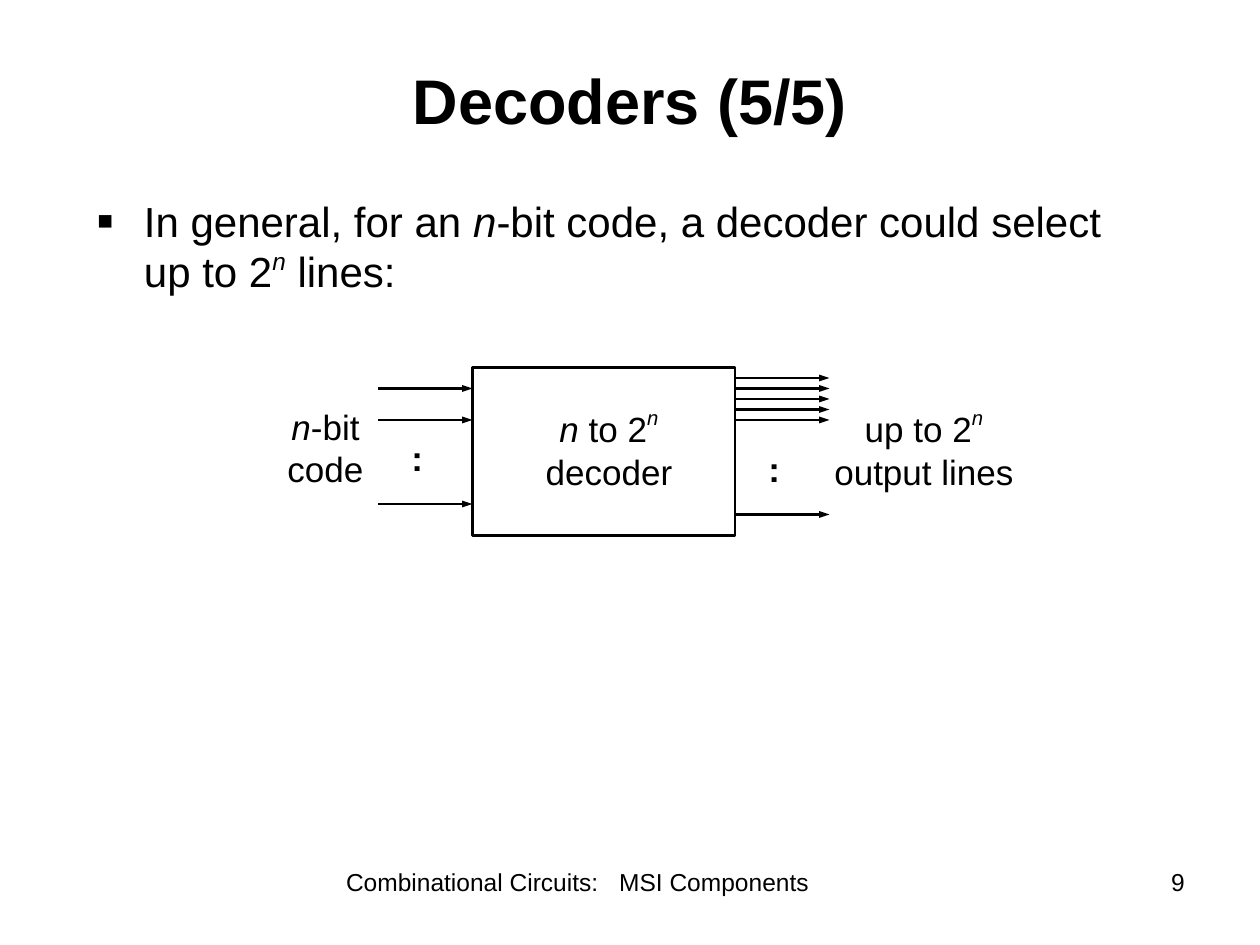
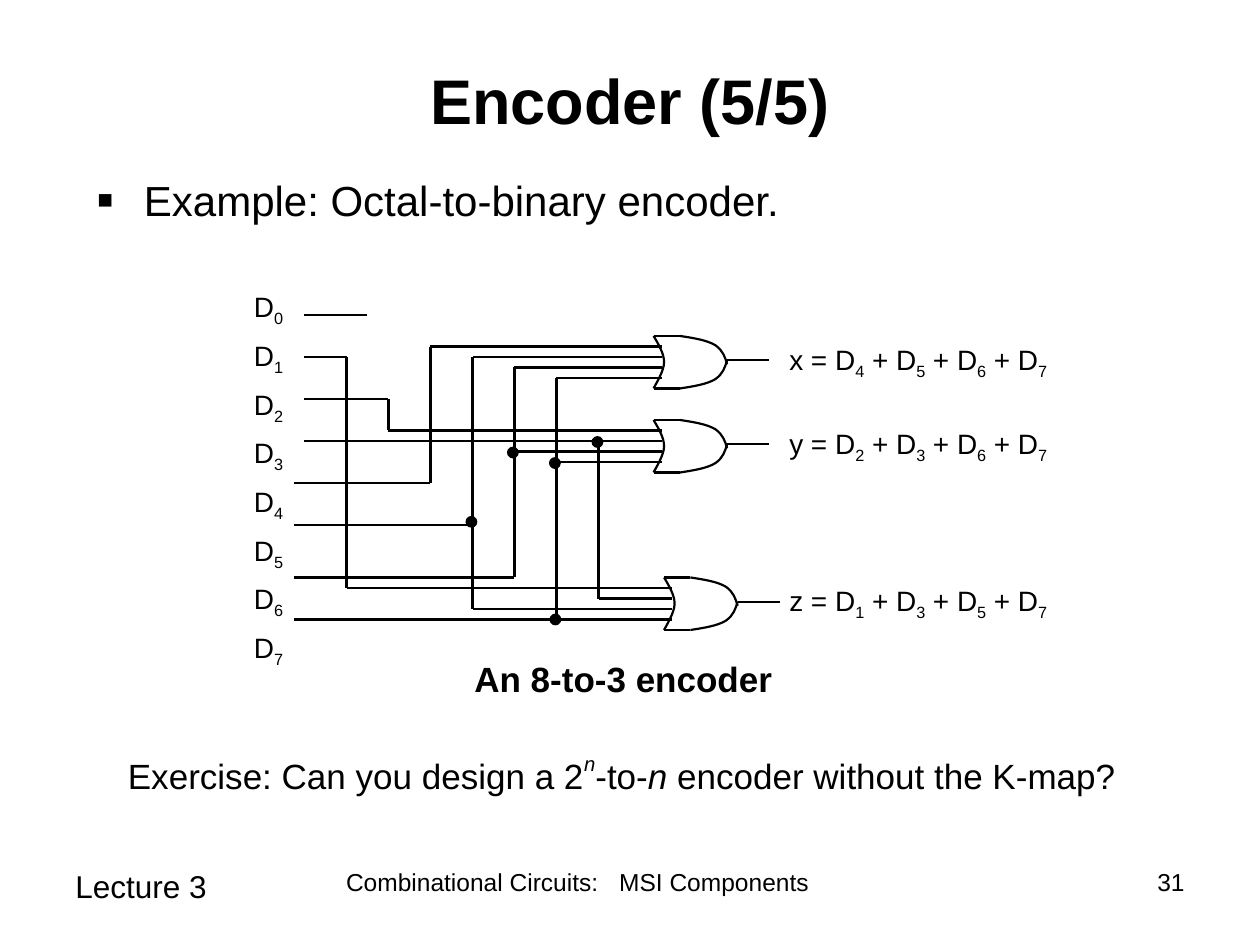
from itertools import pairwise

from lxml.etree import SubElement
from pptx import Presentation
from pptx.dml.color import RGBColor
from pptx.enum.shapes import MSO_CONNECTOR, MSO_SHAPE
from pptx.enum.text import MSO_ANCHOR, PP_ALIGN
from pptx.oxml.ns import qn
from pptx.util import Cm, Pt

BLACK = RGBColor(0x00, 0x00, 0x00)
FONT = "Arial"
CELL = 2.54 / 12  # drawing grid in cm; all positions below count cells
LEFT, CENTER, RIGHT = PP_ALIGN.LEFT, PP_ALIGN.CENTER, PP_ALIGN.RIGHT


def add_text(slide, box, lines, size, align=LEFT, bold=False, gap=0, lift=50):
    """Add a text box; |/n| is italic, |^n| raised italic, |_n| subscript, |~ | widely spaced."""
    tf = slide.shapes.add_textbox(*[Cm(v * CELL) for v in box]).text_frame
    tf.word_wrap = True
    for i, line in enumerate(lines):
        p = tf.add_paragraph() if i else tf.paragraphs[0]
        p.alignment = align
        if i and gap:
            p.space_before = Pt(gap)
        for piece in line.split("|"):
            mark = piece[0] if piece[0] in "/^_~" else ""
            r = p.add_run()
            r.text = piece[len(mark):]
            r.font.name, r.font.size, r.font.bold = FONT, Pt(size), bold
            r.font.italic = mark in ("/", "^")
            r.font.color.rgb = BLACK
            rPr = r._r.get_or_add_rPr()
            if mark in ("^", "_"):
                rPr.set("baseline", str((lift if mark == "^" else -25) * 1000))
            elif mark == "~":
                rPr.set("spc", "780")
    return tf


def add_line(slide, start, end, arrow=False):
    ends = [Cm(v * CELL) for v in (*start, *end)]
    sp = slide.shapes.add_connector(MSO_CONNECTOR.STRAIGHT, *ends)
    sp.line.color.rgb = BLACK
    sp.line.width = Pt(1.25)
    if arrow:
        SubElement(sp.get_or_add_ln(), qn("a:tailEnd"), type="triangle", w="sm", len="med")
    SubElement(sp._element.spPr, qn("a:effectLst"))


prs = Presentation()
prs.slide_width, prs.slide_height = Cm(25.4), Cm(19.05)

# Title, bullet and footer of both slides
pages = [
    ("Decoders (5/5)", "9", 18, 11,
     "In general, for an |/n|-bit code, a decoder could select up to 2|^n| lines:"),
    ("Encoder (5/5)", "31", 16, 8, "Example: Octal-to-binary encoder."),
]
for title, number, bullet_top, bullet_height, bullet in pages:
    slide = prs.slides.add_slide(prs.slide_layouts[6])
    add_text(slide, (31, 82, 48, 6.2), ["Combinational Circuits:|~ |MSI Components"], 14, CENTER)
    add_text(slide, (86, 82, 28, 6.2), [number], 14, RIGHT)
    tf = add_text(slide, (9, 2, 102, 15), [title], 36, CENTER, bold=True)
    tf.vertical_anchor = MSO_ANCHOR.MIDDLE
    tf = add_text(slide, (8, bullet_top, 102, bullet_height), [bullet], 24, lift=40)
    pPr = tf.paragraphs[0]._p.get_or_add_pPr()
    pPr.set("marL", str(Cm(0.96)))
    pPr.set("indent", str(-Cm(0.96)))
    SubElement(SubElement(pPr, qn("a:buClr")), qn("a:srgbClr"), val=str(BLACK))
    SubElement(pPr, qn("a:buSzPct"), val="120000")
    SubElement(pPr, qn("a:buFont"), typeface=FONT)
    SubElement(pPr, qn("a:buChar"), char="▪")
decoder, encoder = prs.slides

# Decoder block with its input and output lines
sp = decoder.shapes.add_shape(MSO_SHAPE.RECTANGLE, *[Cm(v * CELL) for v in (45, 35, 25, 16)])
sp.shadow.inherit = False
sp.fill.background()
sp.line.color.rgb = BLACK
sp.line.width = Pt(1.5)
for x, rows in [(36, (37, 40, 48)), (70, (36, 37, 38, 39, 40, 49))]:
    for y in rows:
        add_line(decoder, (x, y), (x + 9, y), arrow=True)
for x, y in [(38, 41), (72, 42)]:
    add_text(decoder, (x, y, 4, 5.3), [":"], 20, bold=True)
for x, width, label in [
    (24, 14, ["/n|-bit", "code"]),
    (48, 20, ["/n| to 2|^n", "decoder"]),
    (78, 20, ["up to 2|^n", "output lines"]),
]:
    add_text(decoder, (x, 38, width, 9.3), label, 20, CENTER)

# Encoder texts
add_text(encoder, (6, 82, 28, 6.2), ["Lecture 3"], 18)
add_text(encoder, (11, 71, 98, 5.5),
         ["Exercise: Can you design a 2|^n|-to-|/n| encoder without the K-map?"], 20)
add_text(encoder, (44, 62, 31, 5.3), ["An 8-to-3 encoder"], 20, bold=True)
add_text(encoder, (23, 27, 5.8, 37.3), [f"D|_{i}" for i in range(8)], 16, gap=6)

# Wires from the inputs D0 to D7 to the gates
wires = [
    [(29, 30), (35, 30)],
    [(29, 34), (33, 34), (33, 56), (64, 56)],
    [(29, 38), (37, 38), (37, 41), (63, 41)],
    [(29, 42), (63, 42)],
    [(57, 42), (57, 57), (64, 57)],
    [(28, 46), (41, 46), (41, 33), (63, 33)],
    [(28, 50), (45, 50)],
    [(63, 34), (45, 34), (45, 58), (64, 58)],
    [(28, 55), (49, 55), (49, 35), (63, 35)],
    [(49, 43), (63, 43)],
    [(28, 59), (64, 59)],
    [(53, 59), (53, 36), (63, 36)],
    [(53, 44), (63, 44)],
]
for wire in wires:
    for start, end in pairwise(wire):
        add_line(encoder, start, end)

# Junction dots
for x, y in [(44.9, 49.7), (48.85, 43.1), (52.85, 44.1), (52.9, 59), (56.9, 42.1)]:
    sp = encoder.shapes.add_shape(
        MSO_SHAPE.OVAL, *[Cm(v * CELL) for v in (x - 0.5, y - 0.5, 1, 1)])
    sp.shadow.inherit = False
    sp.fill.solid()
    sp.fill.fore_color.rgb = BLACK
    sp.line.color.rgb = BLACK
    sp.line.width = Pt(0.75)

# OR gates: a back, an upper and a lower curve, each a start and Bezier points
back = [(0, 0), (0.5, 0.85), (1, 1.7), (1, 2.5), (1, 3.35), (0.2, 4.6), (0, 5)]
upper = [(2.5, 0), (3.8, 0.2), (5.1, 0.4), (5.9, 0.9), (6.6, 1.4), (6.8, 2), (7, 2.7)]
lower = [(x, 5 - y) for x, y in upper]
gates = [
    (62.25, 32, "x = D|_4| + D|_5| + D|_6| + D|_7"),
    (62.25, 40, "y = D|_2| + D|_3| + D|_6| + D|_7"),
    (63.25, 55, "z = D|_1| + D|_3| + D|_5| + D|_7"),
]
for x, y, label in gates:
    for curve in (back, upper, lower):
        points = [(Cm((x + dx) * CELL), Cm((y + dy) * CELL)) for dx, dy in curve]
        builder = encoder.shapes.build_freeform(*points[0])
        builder.add_line_segments(points[1:], close=False)
        sp = builder.convert_to_shape()
        sp.shadow.inherit = False
        sp.fill.background()
        sp.line.color.rgb = BLACK
        sp.line.width = Pt(1.25)
        # Turn each three straight segments into one cubic curve
        segments = list(sp._element.iter(qn("a:lnTo")))
        outline = segments[0].getparent()
        for i, segment in enumerate(segments):
            if i % 3 == 0:
                bezier = SubElement(outline, qn("a:cubicBezTo"))
            bezier.append(segment[0])
            outline.remove(segment)
    for edge in (y, y + 5):
        add_line(encoder, (x, edge), (x + 2.5, edge))
    add_line(encoder, (x + 7, y + 2.3), (x + 11, y + 2.3))
    add_text(encoder, (74, y, 31, 5), [label], 16)

prs.save("out.pptx")
